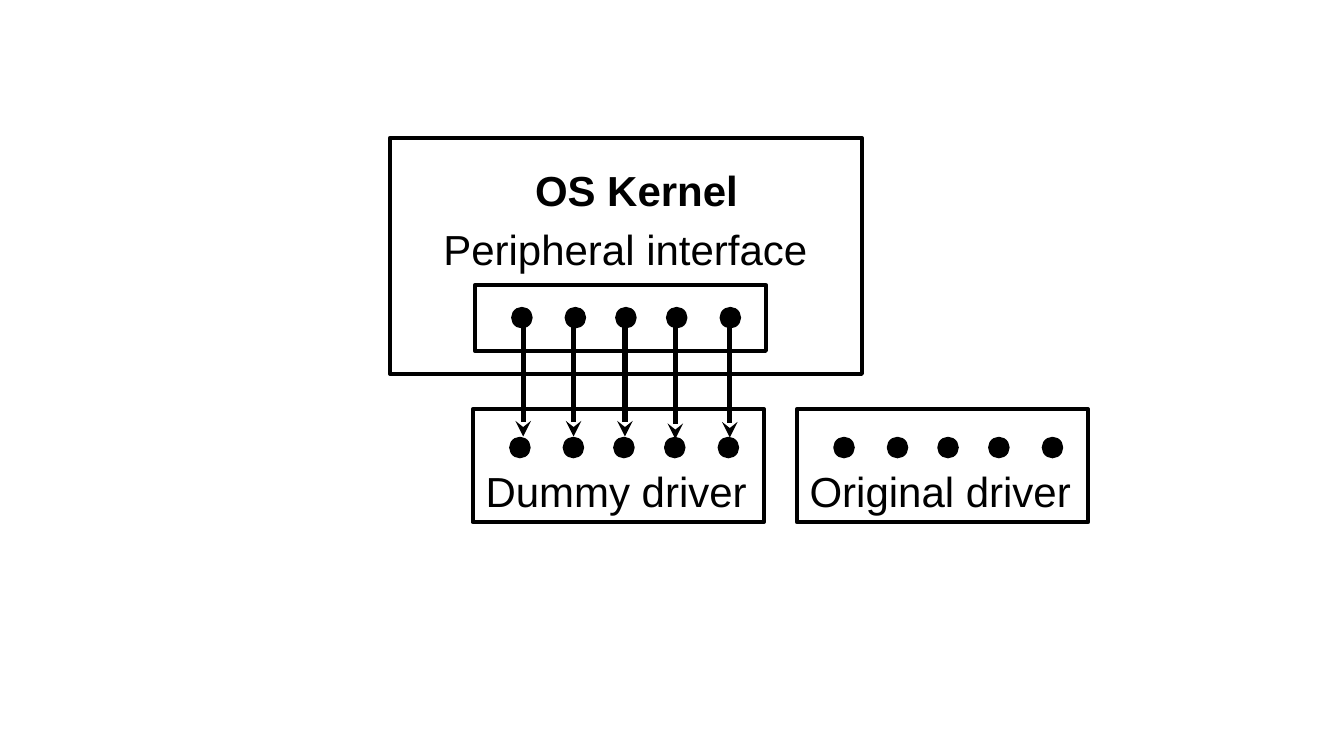
"""Build a slide showing a kernel's peripheral interface wired to a dummy driver."""
from lxml.etree import SubElement
from pptx import Presentation
from pptx.dml.color import RGBColor
from pptx.enum.shapes import MSO_CONNECTOR as Connector, MSO_SHAPE as Shape
from pptx.enum.text import MSO_AUTO_SIZE as AutoSize
from pptx.oxml.ns import qn
from pptx.util import Pt

BLACK = RGBColor(0, 0, 0)
WHITE = RGBColor(255, 255, 255)
DOT_SIZE = 14.4
PORT_OFFSETS = (26.5, 64.7, 100.8, 137.1, 175.4)
CALLS = ((34.6, 23), (70.6, 23), (107.3, 23), (143.3, 24.8), (182.2, 23.7))
CALL_LENGTH = 85


def add_block(slide, kind, box, fill, border, weight):
    block = slide.shapes.add_shape(kind, *map(Pt, box))
    block.shadow.inherit = False
    block.fill.solid()
    block.fill.fore_color.rgb = fill
    block.line.color.rgb = border
    block.line.width = Pt(weight)


def add_label(slide, wording, box, bold=False):
    frame = slide.shapes.add_textbox(*map(Pt, box)).text_frame
    frame.text = wording
    frame.word_wrap = False
    frame.auto_size = AutoSize.SHAPE_TO_FIT_TEXT
    font = frame.paragraphs[0].runs[0].font
    font.name, font.size, font.bold = "Arial", Pt(30), bold
    font.color.rgb = BLACK


def add_ports(slide, left, top):
    for offset in PORT_OFFSETS:
        dot = (left + offset, top, DOT_SIZE, DOT_SIZE)
        add_block(slide, Shape.OVAL, dot, BLACK, BLACK, 1)


def add_interface(slide, box):
    left, top = box[:2]
    add_block(slide, Shape.RECTANGLE, box, WHITE, BLACK, 3)
    add_ports(slide, left, top + 15.9)


def add_kernel(slide, box):
    left, top = box[:2]
    add_block(slide, Shape.RECTANGLE, box, WHITE, BLACK, 3)
    add_label(slide, "OS Kernel", (left + 96.5, top + 15.2, 161.3, 43.9), bold=True)
    add_label(slide, "Peripheral interface", (left + 31, top + 57.6, 276.5, 43.9))


def add_driver(slide, box, title):
    left, top = box[:2]
    add_block(slide, Shape.RECTANGLE, box, WHITE, BLACK, 3)
    add_ports(slide, left, top + 20.2)
    add_label(slide, title, (left + 2, top + 36.7, 203, 43.9))


def add_calls(slide, interface):
    left, top = interface[:2]
    for offset, drop in CALLS:
        x, y = left + offset, top + drop
        call = slide.shapes.add_connector(
            Connector.STRAIGHT, Pt(x), Pt(y), Pt(x), Pt(y + CALL_LENGTH))
        call.line.color.rgb = BLACK
        call.line.width = Pt(3.75)
        SubElement(call.line._get_or_add_ln(), qn("a:tailEnd"), type="stealth")
        SubElement(call._element.spPr, qn("a:effectLst"))


def main():
    deck = Presentation()
    deck.slide_width, deck.slide_height = Pt(960), Pt(540)
    slide = deck.slides.add_slide(deck.slide_layouts[6])
    interface = (339.1, 203.8, 208, 46.8)
    add_block(slide, Shape.RECTANGLE, (262.8, 88.6, 541.4, 303.8), WHITE, WHITE, 1)
    add_kernel(slide, (278.6, 98.6, 337, 168.5))
    add_interface(slide, interface)
    add_driver(slide, (337.7, 292.3, 208, 80.6), "Dummy driver")
    add_calls(slide, interface)
    add_driver(slide, (569.2, 292.3, 208, 80.6), "Original driver")
    deck.save("out.pptx")


main()
